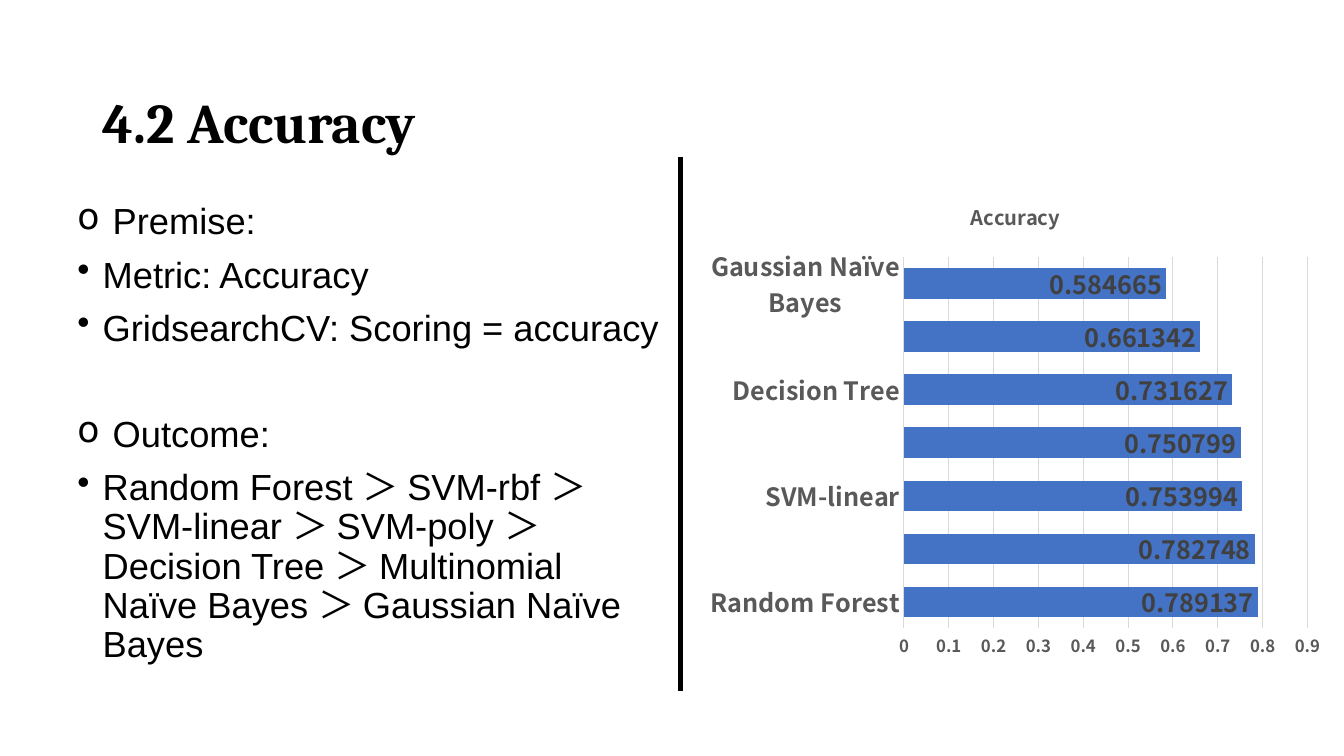
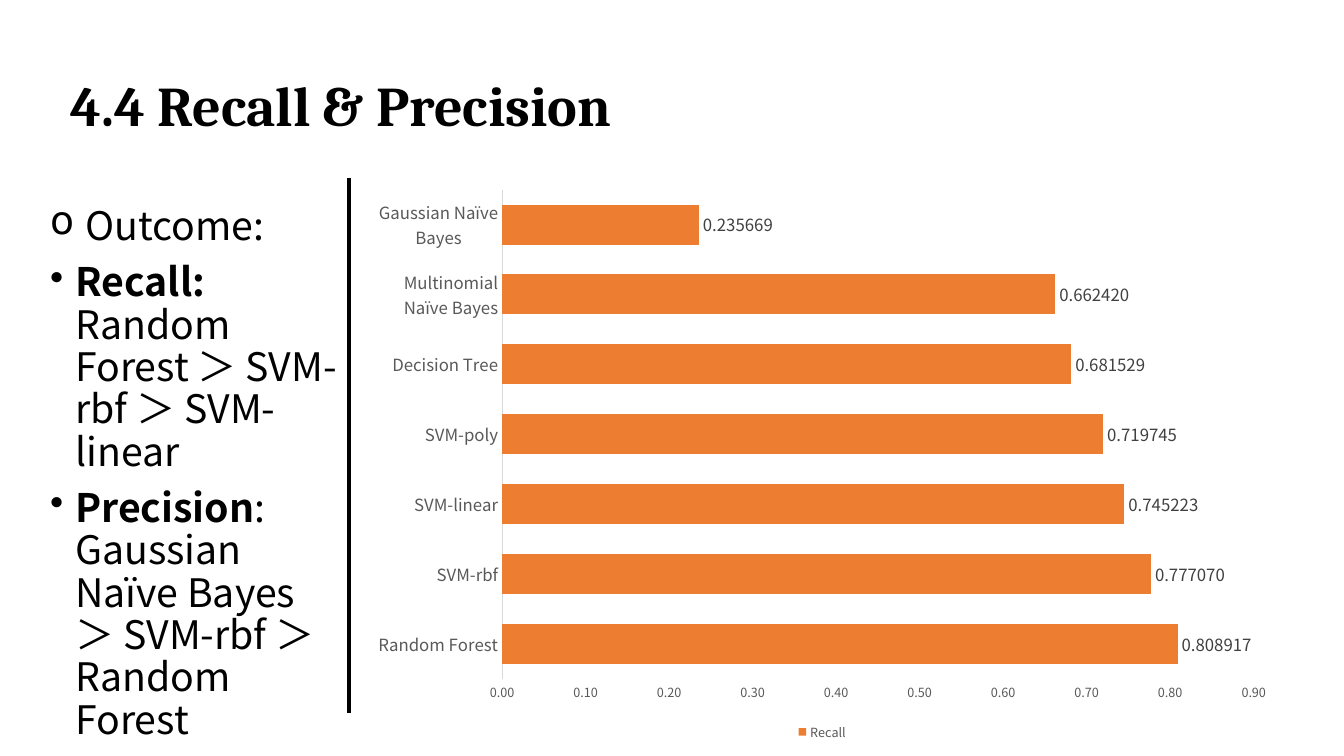
from pptx import Presentation
from pptx.chart.data import CategoryChartData
from pptx.dml.color import RGBColor
from pptx.enum.chart import XL_CHART_TYPE, XL_LABEL_POSITION, XL_LEGEND_POSITION, XL_TICK_MARK
from pptx.enum.shapes import MSO_CONNECTOR
from pptx.enum.text import MSO_ANCHOR, MSO_AUTO_SIZE, PP_ALIGN
from pptx.oxml.ns import qn
from pptx.util import Inches, Pt
from lxml.etree import SubElement

COLORS = {"text": "000000", "axis_text": "595959", "label": "404040",
          "grid": "D9D9D9", "accuracy": "4472C4", "recall": "ED7D31"}
TITLE_FONT, CHART_FONT = "Cambria", "Noto Sans CJK SC"
MODELS = ["Random Forest", "SVM-rbf", "SVM-linear", "SVM-poly", "Decision Tree",
          "Multinomial Naïve Bayes", "Gaussian Naïve Bayes"]

# Outline entries: (bullet, bold lead, text, space before)
SLIDES = [
    {
        "title": "4.2 Accuracy", "title_at": (0.92, 0.52),
        "outline_at": (0.67, 1.97, 6, 4.76), "font": "Arial", "size": 25.9,
        "outline": [
            ("o", "", "Premise:", 10),
            ("•", "", "Metric: Accuracy", 10),
            ("•", "", "GridsearchCV: Scoring = accuracy", 10),
            ("o", "", "Outcome:", 48),
            ("•", "", "Random Forest ＞ SVM-rbf ＞ SVM-linear ＞ SVM-poly ＞ Decision Tree"
                      " ＞ Multinomial Naïve Bayes ＞ Gaussian Naïve Bayes", 10),
        ],
        "divider": (6.75, 1.56),
        "chart_at": (6.92, 1.8, 6.3, 4.82), "metric": "Accuracy", "color": "accuracy",
        "values": [0.789137, 0.782748, 0.753994, 0.750799, 0.731627, 0.661342, 0.584665],
        "bold": True, "headed": True, "overlap": 40, "axis_format": "General",
        "label_position": XL_LABEL_POSITION.INSIDE_END,
        "category_size": 18, "value_size": 12, "label_size": 18,
    },
    {
        "title": "4.4 Recall & Precision", "title_at": (0.6, 0.35),
        "outline_at": (0.4, 2, 3.06, 4.76), "font": CHART_FONT, "size": 28,
        "outline": [
            ("o", "", "Outcome:", 10),
            ("•", "Recall:", " Random Forest ＞ SVM-rbf ＞ SVM-linear", 10),
            ("•", "Precision", ": Gaussian Naïve Bayes ＞ SVM-rbf ＞ Random Forest", 10),
        ],
        "divider": (3.46, 1.77),
        "chart_at": (3.57, 1.77, 9.17, 5.62), "metric": "Recall", "color": "recall",
        "values": [0.808917, 0.77707, 0.745223, 0.719745, 0.681529, 0.66242, 0.235669],
        "bold": False, "headed": False, "overlap": 0, "axis_format": "0.00",
        "label_position": XL_LABEL_POSITION.OUTSIDE_END,
        "category_size": 12, "value_size": 9, "label_size": 12,
    },
]


def rgb(name):
    return RGBColor.from_string(COLORS[name])


def style_font(font, name, size, color, bold=False):
    font.name, font.size, font.bold = name, Pt(size), bold
    font.color.rgb = rgb(color)


prs = Presentation()
prs.slide_width, prs.slide_height = Inches(13.33), Inches(7.5)

for content in SLIDES:
    slide = prs.slides.add_slide(prs.slide_layouts[5])

    # Title
    title = slide.shapes.title
    title.left, title.top = [Inches(v) for v in content["title_at"]]
    title.width, title.height = Inches(11.5), Inches(1.45)
    title.text_frame.text = content["title"]
    title.text_frame.auto_size = MSO_AUTO_SIZE.NONE
    title.text_frame.vertical_anchor = MSO_ANCHOR.MIDDLE
    heading = title.text_frame.paragraphs[0]
    heading.alignment, heading.line_spacing = PP_ALIGN.LEFT, 0.9
    style_font(heading.font, TITLE_FONT, 40, "text", True)

    # Outline
    outline = slide.shapes.add_textbox(*[Inches(v) for v in content["outline_at"]]).text_frame
    outline.word_wrap = True
    for i, (bullet, lead, text, space) in enumerate(content["outline"]):
        point = outline.add_paragraph() if i else outline.paragraphs[0]
        indent = Inches(0.35 if bullet == "o" else 0.25)
        properties = point._p.get_or_add_pPr()
        properties.set("marL", str(indent))
        properties.set("indent", str(-indent))
        SubElement(properties, qn("a:buChar")).set("char", bullet)
        point.line_spacing, point.space_before = 0.9, Pt(space)
        style_font(point.font, content["font"], content["size"], "text")
        if lead:
            lead_run = point.add_run()
            lead_run.text, lead_run.font.bold = lead, True
        point.add_run().text = text

    # Divider
    x, y = content["divider"]
    divider = slide.shapes.add_connector(
        MSO_CONNECTOR.STRAIGHT, Inches(x), Inches(y), Inches(x), Inches(y + 5.3))
    divider.line.color.rgb, divider.line.width = rgb("text"), Pt(3)
    SubElement(divider._element.spPr, qn("a:effectLst"))

    # Bar chart
    data = CategoryChartData()
    data.categories = MODELS
    data.add_series(content["metric"], content["values"])
    chart = slide.shapes.add_chart(
        XL_CHART_TYPE.BAR_CLUSTERED, *[Inches(v) for v in content["chart_at"]], data).chart
    bold = content["bold"]
    style_font(chart.font, CHART_FONT, content["value_size"], "text", bold)

    chart.has_title = content["headed"]
    chart.has_legend = not content["headed"]
    if chart.has_title:
        chart.chart_title.include_in_layout = False
        chart.chart_title.text_frame.text = content["metric"]
        style_font(chart.chart_title.text_frame.paragraphs[0].font,
                   CHART_FONT, 14.4, "axis_text", True)
    if chart.has_legend:
        chart.legend.position = XL_LEGEND_POSITION.BOTTOM
        chart.legend.include_in_layout = False
        style_font(chart.legend.font, CHART_FONT, 9, "axis_text")

    # Axes
    models, scores = chart.category_axis, chart.value_axis
    for axis, size in ((models, content["category_size"]), (scores, content["value_size"])):
        axis.major_tick_mark = axis.minor_tick_mark = XL_TICK_MARK.NONE
        style_font(axis.tick_labels.font, CHART_FONT, size, "axis_text", bold)
    models.format.line.color.rgb, models.format.line.width = rgb("grid"), Pt(0.75)
    scores.format.line.fill.background()
    scores.minimum_scale, scores.maximum_scale, scores.major_unit = 0, 0.9, 0.1
    scores.tick_labels.number_format = content["axis_format"]
    scores.tick_labels.number_format_is_linked = False
    scores.has_major_gridlines = content["headed"]
    if scores.has_major_gridlines:
        grid = scores.major_gridlines.format.line
        grid.color.rgb, grid.width = rgb("grid"), Pt(0.75)

    # Bars and labels
    plot = chart.plots[0]
    plot.vary_by_categories = False
    plot.gap_width, plot.overlap = 75, content["overlap"]
    bars = plot.series[0].format.fill
    bars.solid()
    bars.fore_color.rgb = rgb(content["color"])
    plot.has_data_labels = True
    labels = plot.data_labels
    labels.show_value, labels.position = True, content["label_position"]
    labels.number_format, labels.number_format_is_linked = "0.000000", False
    style_font(labels.font, CHART_FONT, content["label_size"], "label", bold)

prs.save("out.pptx")
